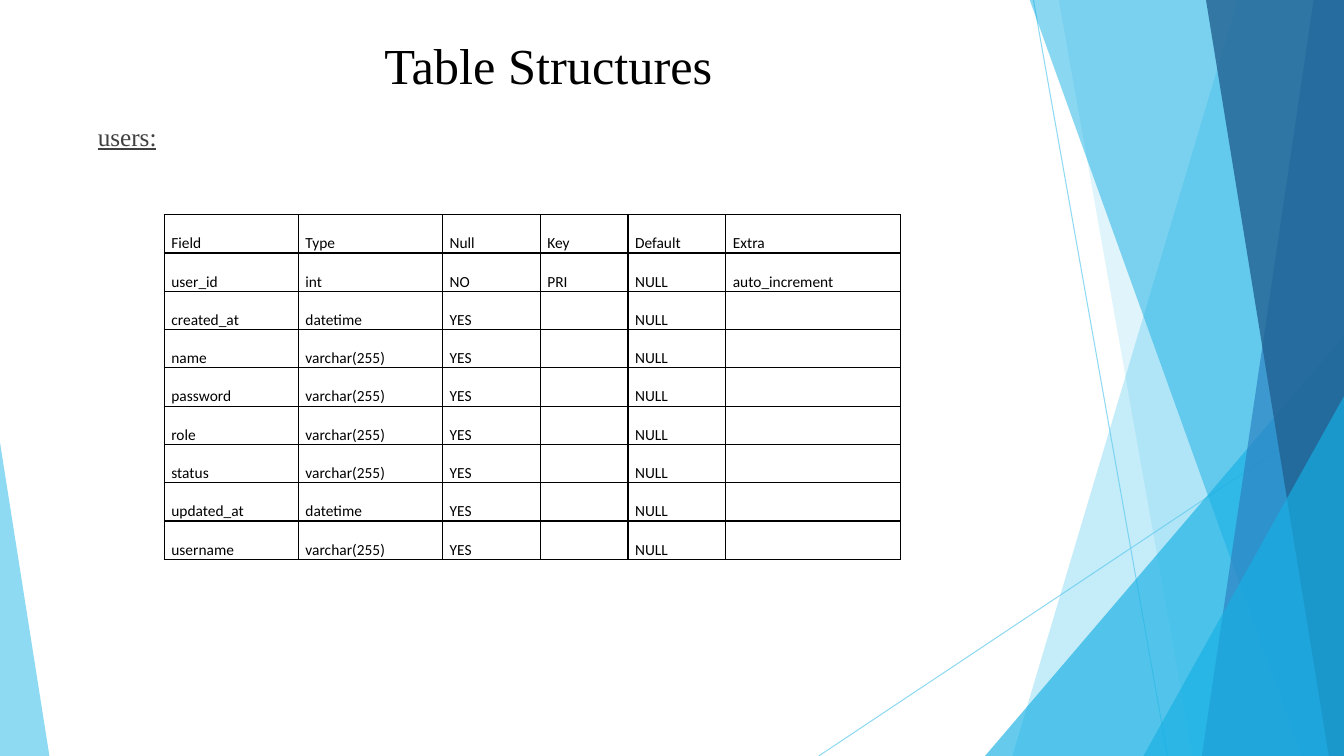
import dataclasses

import lxml.etree
import pptx
import pptx.dml.color
import pptx.enum.shapes
import pptx.enum.text
import pptx.oxml.ns
import pptx.util

Inches = pptx.util.Inches
qn = pptx.oxml.ns.qn


@dataclasses.dataclass(frozen=True)
class Theme:
    sky: str = "5FCBEF"
    azure: str = "17B0E4"
    blue: str = "2E83C3"
    navy: str = "226292"
    ink: str = "000000"
    body_ink: str = "404040"
    heading_font: str = "Times New Roman"
    table_font: str = "Calibri"
    title_size: int = 36
    body_size: int = 18
    table_size: int = 11
    facet_line: float = 0.75
    border: int = 1


WIDTH, HEIGHT = 13.33, 7.5
HEADER = ["Field", "Type", "Null", "Key", "Default", "Extra"]
FIELDS = [
    ("created_at", "datetime"),
    ("name", "varchar(255)"),
    ("password", "varchar(255)"),
    ("role", "varchar(255)"),
    ("status", "varchar(255)"),
    ("updated_at", "datetime"),
    ("username", "varchar(255)"),
]
ROWS = [HEADER, ["user_id", "int", "NO", "PRI", "NULL", "auto_increment"]]
ROWS += [[name, kind, "YES", "", "NULL", ""] for name, kind in FIELDS]
COLUMN_WIDTHS = [1.33, 1.43, 0.97, 0.87, 0.97, 1.73]
ROW_HEIGHT = 0.38


def apply_formats(target, values):
    for name, value in values.items():
        setattr(target, name, value)


class SlideBuilder:
    def __init__(self, deck, theme):
        self.theme = theme
        self.slide = deck.slides.add_slide(deck.slide_layouts[1])
        self.shapes = self.slide.shapes

    def set_color(self, color, value):
        color.rgb = pptx.dml.color.RGBColor.from_string(value)

    def set_opacity(self, properties, opacity):
        for node in properties.iter(qn("a:srgbClr")):
            lxml.etree.SubElement(node, qn("a:alpha"), val=str(opacity * 1000))

    def paint(self, shape, color, opacity):
        shape.shadow.inherit = False
        shape.fill.solid()
        self.set_color(shape.fill.fore_color, color)
        shape.line.fill.background()
        self.set_opacity(shape._element.spPr, opacity)

    def line(self, start, end):
        line = self.shapes.add_connector(
            pptx.enum.shapes.MSO_CONNECTOR.STRAIGHT, *map(Inches, start + end))
        line.line.width = pptx.util.Pt(self.theme.facet_line)
        line.line.fill.solid()
        self.set_color(line.line.fill.fore_color, self.theme.sky)
        self.set_opacity(line._element.spPr, 70)
        lxml.etree.SubElement(line._element.spPr, qn("a:effectLst"))

    def band(self, top_left, bottom_left, color, opacity):
        corners = [(top_left, -0.01), (WIDTH, -0.01), (WIDTH, HEIGHT), (bottom_left, HEIGHT)]
        points = [(Inches(x), Inches(y)) for x, y in corners]
        outline = self.shapes.build_freeform(*points[0])
        outline.add_line_segments(points[1:], close=True)
        self.paint(outline.convert_to_shape(), color, opacity)

    def triangle(self, box, apex, color, opacity):
        shape = self.shapes.add_shape(
            pptx.enum.shapes.MSO_SHAPE.ISOSCELES_TRIANGLE, *map(Inches, box))
        shape.adjustments[0] = apex
        self.paint(shape, color, opacity)

    def add_text(self, para, text, color, size, font, **formats):
        font_format = {"name": font, "size": pptx.util.Pt(size), **formats}
        apply_formats(para.font, font_format)
        if text:
            span = para.add_run()
            span.text = text
            apply_formats(span.font, font_format)
            self.set_color(span.font.color, color)

    def placeholder(self, index, box, text, color, size, anchor, align, **formats):
        holder = self.slide.placeholders[index]
        self.shapes._spTree.append(holder._element)
        apply_formats(holder, dict(zip(("left", "top", "width", "height"), map(Inches, box))))
        apply_formats(holder.text_frame, {"vertical_anchor": anchor, "word_wrap": True})
        para = holder.text_frame.paragraphs[0]
        apply_formats(para, {"alignment": align, "space_before": pptx.util.Pt(0)})
        properties = para._p.get_or_add_pPr()
        properties.set("marL", "0")
        properties.set("indent", "0")
        lxml.etree.SubElement(properties, qn("a:buNone"))
        self.add_text(para, text, color, size, self.theme.heading_font, **formats)

    def border(self, cell):
        properties = cell._tc.get_or_add_tcPr()
        for position, side in enumerate(("a:lnL", "a:lnR", "a:lnT", "a:lnB")):
            line = properties.makeelement(
                qn(side), {"w": str(pptx.util.Pt(self.theme.border))})
            fill = lxml.etree.SubElement(line, qn("a:solidFill"))
            lxml.etree.SubElement(fill, qn("a:srgbClr"), val=self.theme.ink)
            properties.insert(position, line)

    def table(self, left, top, widths, row_height, rows):
        frame = self.shapes.add_table(
            len(rows), len(widths), Inches(left), Inches(top),
            Inches(sum(widths)), Inches(row_height * len(rows)))
        table = frame.table
        apply_formats(table, {"first_row": False, "horz_banding": False})
        for column, width in zip(table.columns, widths):
            column.width = Inches(width)
        cell_format = {
            "margin_left": Inches(0.07), "margin_right": Inches(0.07),
            "margin_top": 0, "margin_bottom": 0,
            "vertical_anchor": pptx.enum.text.MSO_ANCHOR.BOTTOM,
        }
        para_format = {"alignment": pptx.enum.text.PP_ALIGN.JUSTIFY, "line_spacing": 1.15}
        for row, texts in zip(table.rows, rows):
            row.height = Inches(row_height)
            for cell, text in zip(row.cells, texts):
                apply_formats(cell, cell_format)
                cell.fill.background()
                self.border(cell)
                para = cell.text_frame.paragraphs[0]
                apply_formats(para, para_format)
                self.add_text(para, text, self.theme.ink, self.theme.table_size,
                              self.theme.table_font)


def main():
    theme = Theme()
    deck = pptx.Presentation()
    apply_formats(deck, {"slide_width": Inches(WIDTH), "slide_height": Inches(HEIGHT)})
    page = SlideBuilder(deck, theme)

    page.line((10.25, 0), (11.58, HEIGHT))
    page.line((WIDTH, 4.03), (8.12, HEIGHT))
    page.band(12.28, 10.04, theme.sky, 36)
    page.band(10.5, 11.83, theme.sky, 20)
    page.triangle((9.77, 3.33, 3.56, 4.17), 1, theme.azure, 66)
    page.band(10.21, 12.91, theme.azure, 50)
    page.band(13.03, 11.92, theme.blue, 70)
    page.band(11.96, 13.18, theme.navy, 80)
    page.triangle((11.34, 3.93, 1.99, 3.57), 1, theme.azure, 66)
    page.triangle((0, 4.39, 0.49, 3.11), 0, theme.sky, 70)

    anchors, aligns = pptx.enum.text.MSO_ANCHOR, pptx.enum.text.PP_ALIGN
    page.placeholder(0, (0.74, 0.25, 9.4, 0.74), "Table Structures", theme.ink,
                     theme.title_size, anchors.BOTTOM, aligns.CENTER)
    page.placeholder(1, (0.87, 1.15, 9.4, 5.62), "users:", theme.body_ink,
                     theme.body_size, anchors.TOP, aligns.LEFT, underline=True)
    page.table(1.63, 2.13, COLUMN_WIDTHS, ROW_HEIGHT, ROWS)
    deck.save("out.pptx")


if __name__ == "__main__":
    main()
